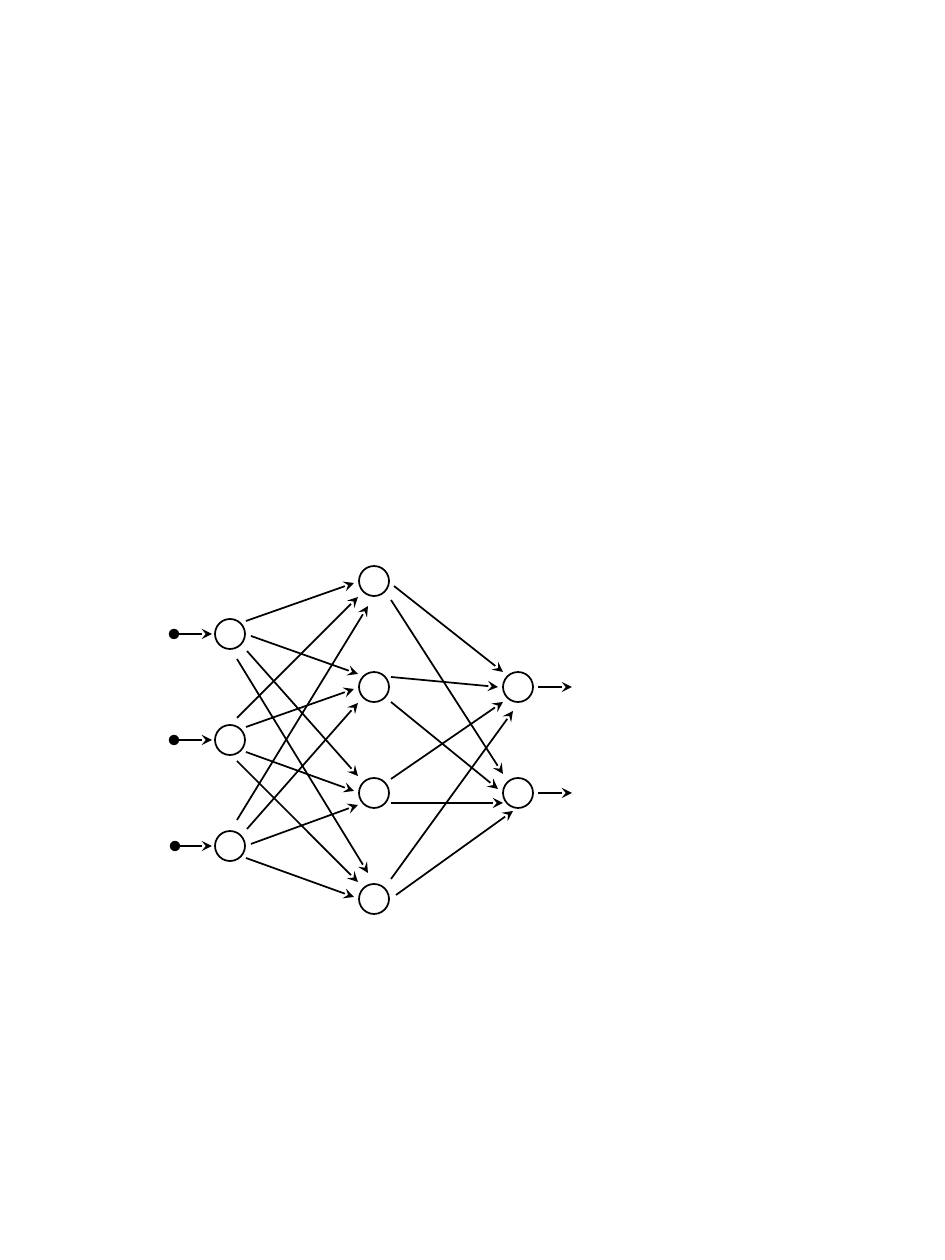
import pptx
import pptx.dml.color
import pptx.enum.shapes
import pptx.oxml.ns
import pptx.util
from lxml import etree

PX = 914400 / 126
WIDTH, HEIGHT = 945, 1260

DIAMETER = 30
ROW_PITCH = 106
# Left edge, top of the first neuron and number of neurons in each layer
LAYERS = [(215, 619, 3), (359, 566, 4), (503, 672, 2)]

# Start x, start y, end x, end y; one row of arrows per source neuron
INPUT_TO_HIDDEN = [
    (246, 621, 354, 583), (251, 636, 358, 674), (247, 651, 358, 776), (237, 659, 368, 873),
    (237, 718, 358, 597), (246, 727, 354, 689), (246, 752, 354, 791), (237, 761, 358, 882),
    (237, 820, 368, 606), (247, 829, 358, 703), (251, 844, 358, 805), (246, 858, 354, 897),
]
HIDDEN_TO_OUTPUT = [
    (394, 586, 503, 672), (391, 600, 503, 774),
    (391, 677, 498, 687), (391, 702, 498, 789),
    (391, 779, 503, 702), (391, 803, 503, 803),
    (391, 879, 513, 711), (396, 895, 513, 811),
]
INPUT_ARROWS = [(174, 634, 212, 634), (174, 740, 212, 740), (175, 846, 212, 846)]
OUTPUT_ARROWS = [(538, 687, 572, 687), (538, 793, 572, 793)]


def emu(px):
    return pptx.util.Emu(round(px * PX))


def color(value):
    return pptx.dml.color.RGBColor.from_string(value)


class NetworkDiagram:
    """Draws neurons and arrows in one group on a slide."""

    ink = "000000"
    line_width = pptx.util.Pt(1)

    def __init__(self, slide):
        self.slide = slide
        self.group = slide.shapes.add_group_shape()

    def style_line(self, line):
        line.color.rgb = color(self.ink)
        line.width = self.line_width

    def neuron(self, left, top):
        shape = self.group.shapes.add_shape(
            pptx.enum.shapes.MSO_SHAPE.OVAL,
            emu(left), emu(top), emu(DIAMETER), emu(DIAMETER))
        shape.shadow.inherit = False
        shape.fill.background()
        self.style_line(shape.line)

    def arrow(self, start_x, start_y, end_x, end_y, dot=False):
        """Draw a stealth arrow, with a dot at its start if asked for."""
        connector = self.group.shapes.add_connector(
            pptx.enum.shapes.MSO_CONNECTOR.STRAIGHT,
            emu(start_x), emu(start_y), emu(end_x), emu(end_y))
        self.style_line(connector.line)
        properties = connector._element.spPr
        line = properties.find(pptx.oxml.ns.qn("a:ln"))
        if dot:
            etree.SubElement(line, pptx.oxml.ns.qn("a:headEnd"), type="oval")
        etree.SubElement(line, pptx.oxml.ns.qn("a:tailEnd"), type="stealth")
        etree.SubElement(properties, pptx.oxml.ns.qn("a:effectLst"))


def main():
    presentation = pptx.Presentation()
    presentation.slide_width = emu(WIDTH)
    presentation.slide_height = emu(HEIGHT)
    slide = presentation.slides.add_slide(presentation.slide_layouts[6])
    diagram = NetworkDiagram(slide)

    for left, first_top, count in LAYERS:
        for row in range(count):
            diagram.neuron(left, first_top + row * ROW_PITCH)
    for ends in INPUT_TO_HIDDEN + HIDDEN_TO_OUTPUT + OUTPUT_ARROWS:
        diagram.arrow(*ends)
    for ends in INPUT_ARROWS:
        diagram.arrow(*ends, dot=True)

    presentation.save("out.pptx")


if __name__ == "__main__":
    main()
